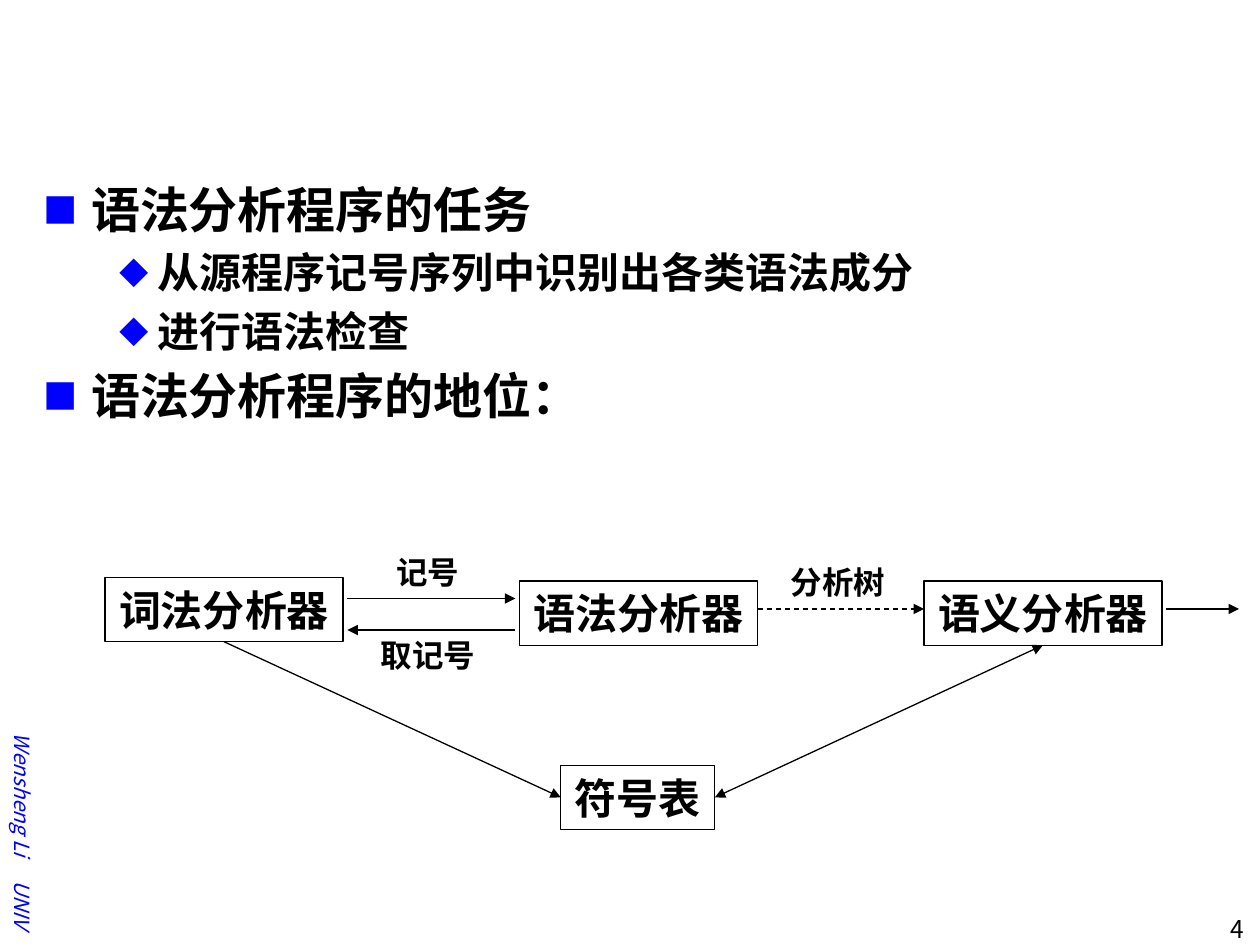
import pptx
import pptx.util
import pptx.dml.color
import pptx.enum.dml
import pptx.enum.shapes
import pptx.enum.text
import pptx.oxml
import pptx.oxml.ns
import lxml.etree

Pt = pptx.util.Pt
ALIGN = pptx.enum.text.PP_ALIGN
ANCHOR = pptx.enum.text.MSO_ANCHOR
SANS, SERIF = "Noto Sans CJK SC", "Times New Roman"
BLACK, BLUE = "000000", "0000FF"


def paint(value):
    return pptx.dml.color.RGBColor.from_string(value)


def add_tag(parent, name, **attrs):
    tag = lxml.etree.SubElement(parent, pptx.oxml.ns.qn(name))
    for key, value in attrs.items():
        tag.set(key, value)
    return tag


def style(para, size, face=SANS, color=BLACK, bold=False, italic=False):
    for run in para.runs:
        font = run.font
        font.size, font.name = Pt(size), face
        font.bold, font.italic = bold, italic
        font.color.rgb = paint(color)
        add_tag(run.font._element, "a:ea", typeface=SANS)


def add_text(slide, box, text, size, align=ALIGN.CENTER, wrap=False, **look):
    shape = slide.shapes.add_textbox(*map(Pt, box))
    frame = shape.text_frame
    frame.text = text
    frame.word_wrap = wrap
    frame.margin_top = frame.margin_bottom = 0
    frame.vertical_anchor = ANCHOR.MIDDLE
    para = frame.paragraphs[0]
    para.alignment = align
    style(para, size, **look)
    return shape


def add_node(slide, box, text):
    shape = add_text(slide, box, text, 24, face=SERIF, bold=True)
    shape.line.color.rgb = paint(BLACK)
    shape.line.width = Pt(0.75)


def add_arrow(slide, start, end, dash=False, both=False):
    line = slide.shapes.add_connector(
        pptx.enum.shapes.MSO_CONNECTOR.STRAIGHT, *map(Pt, start + end))
    line.line.color.rgb = paint(BLACK)
    line.line.width = Pt(0.75)
    if dash:
        line.line.dash_style = pptx.enum.dml.MSO_LINE.DASH
    props = line.line._get_or_add_ln()
    if both:
        add_tag(props, "a:headEnd", type="triangle")
    add_tag(props, "a:tailEnd", type="triangle")
    add_tag(line._element.spPr, "a:effectLst")


def add_points(slide, box, points):
    """Points are pairs of outline level and text."""
    frame = slide.shapes.add_textbox(*map(Pt, box)).text_frame
    frame.word_wrap = True
    frame.margin_top = Pt(6.5)
    looks = [(28, 27, "■"), (24, 65, "◆")]
    for i, (level, text) in enumerate(points):
        size, left, mark = looks[level]
        para = frame.paragraphs[0] if i == 0 else frame.add_paragraph()
        para.text = text
        para.level = level
        para.line_spacing = Pt(size * 1.2)
        para.space_before = Pt(size * 0.2 if i else 0)
        props = para._p.get_or_add_pPr()
        props.set("marL", str(Pt(left)))
        props.set("indent", str(-Pt(22 if level else left)))
        add_tag(add_tag(props, "a:buClr"), "a:srgbClr", val=BLUE)
        add_tag(props, "a:buSzPct", val="70000")
        add_tag(props, "a:buFont", typeface=SANS)
        add_tag(props, "a:buChar", char=mark)
        style(para, size, bold=True)


def add_flow(slide, box):
    left, top, width, height = box
    right, base = left + width, top + height
    wide, small, tall = 136, 88, 36.7
    parse_x, sense_x, table_x = left + 237, right - wide, left + 260.5
    row, low = top + 2, base - tall
    add_node(slide, (left, top, wide, tall), "词法分析器")
    add_node(slide, (parse_x, row, wide, tall), "语法分析器")
    add_node(slide, (sense_x, row, wide, tall), "语义分析器")
    add_node(slide, (table_x, low, small, tall), "符号表")

    near, far = left + wide + 2.5, parse_x - 2.5
    mid = row + 16
    add_arrow(slide, (near, top + 12), (far, top + 12))
    add_arrow(slide, (far, top + 30), (near, top + 30))
    add_arrow(slide, (parse_x + wide, mid), (sense_x, mid), dash=True)
    add_arrow(slide, (right + 2, mid), (right + 44, mid))
    add_arrow(slide, (left + wide / 2, top + tall), (table_x, low + tall / 2))
    add_arrow(slide, (sense_x + wide / 2, row + tall),
              (table_x + small, low + tall / 2), both=True)

    for x, y, text in [(150, -18, "记号"), (150, 30, "取记号"),
                       (384.5, -12, "分析树")]:
        add_text(slide, (left + x, top + y, 69, 29), text, 18,
                 face=SERIF, bold=True)


def add_credit(slide, box):
    shape = add_text(slide, box, "Wensheng Li", 12, ALIGN.RIGHT)
    para = shape.text_frame.paragraphs[0]
    gap = para.add_run()
    gap.text = " "
    gap.font._element.set("spc", "1100")
    para.add_run().text = "UNIV"
    style(para, 12, color=BLUE, italic=True)
    for extra in para.runs[0].font._element.findall(pptx.oxml.ns.qn("a:ea"))[1:]:
        para.runs[0].font._element.remove(extra)
    shape.rotation = 90


def main():
    deck = pptx.Presentation()
    deck.slide_width, deck.slide_height = Pt(720), Pt(540)
    slide = deck.slides.add_slide(deck.slide_layouts[6])
    add_credit(slide, (-82, 432, 190, 21.6))
    add_text(slide, (647, 520, 71, 21.6), "4", 14, ALIGN.RIGHT, True)
    add_points(slide, (18, 96, 684, 201), [
        (0, "语法分析程序的任务"),
        (1, "从源程序记号序列中识别出各类语法成分"),
        (1, "进行语法检查"),
        (0, "语法分析程序的地位："),
    ])
    add_flow(slide, (60, 330, 604, 144))
    deck.save("out.pptx")


if __name__ == "__main__":
    main()
